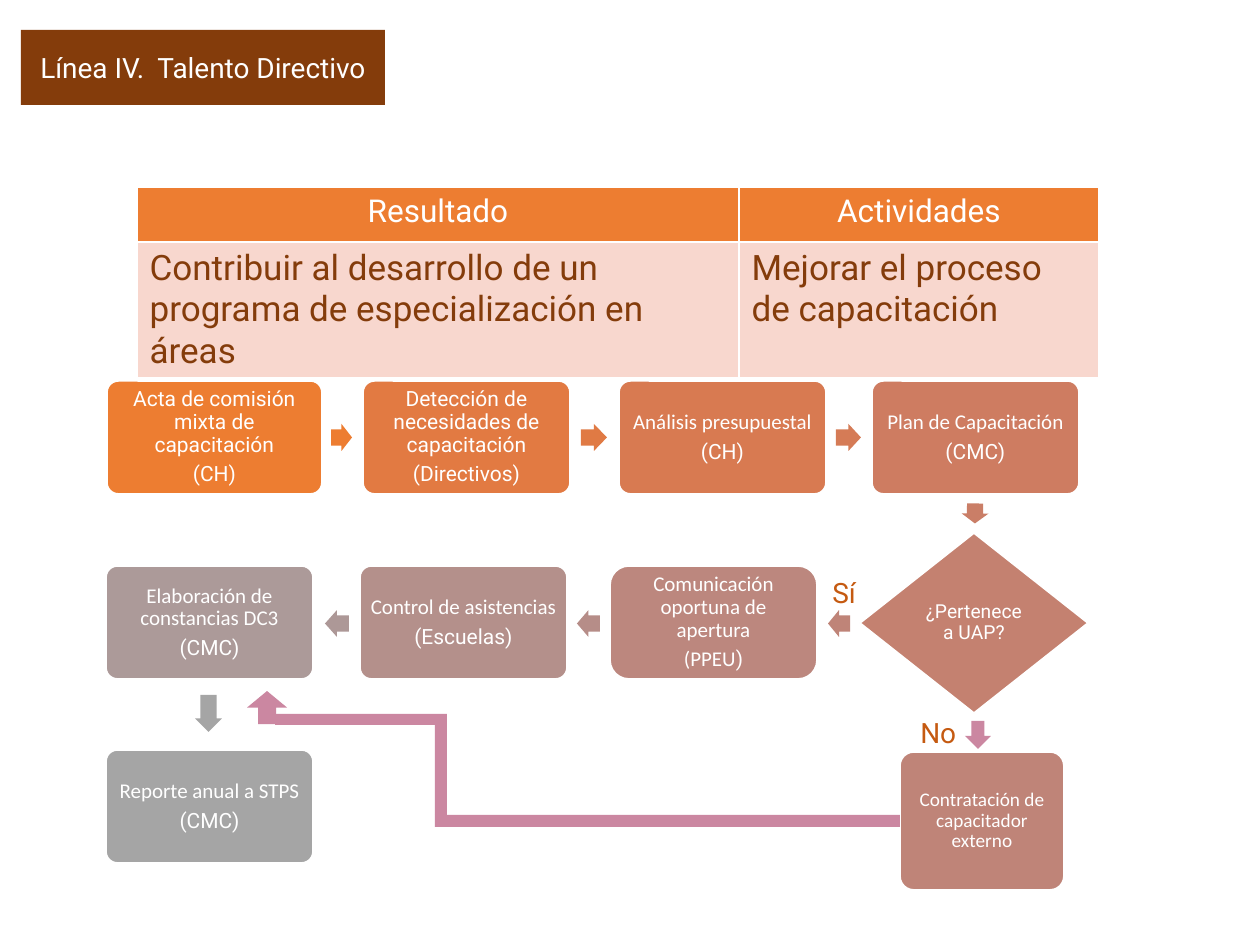
from lxml.etree import SubElement
from pptx import Presentation
from pptx.dml.color import RGBColor
from pptx.enum.shapes import MSO_SHAPE as Shape
from pptx.enum.text import MSO_ANCHOR as Anchor, PP_ALIGN as Align
from pptx.oxml.ns import qn
from pptx.util import Emu, Pt

PX = 914400 / 126
COLORS = {
    "white": "FFFFFF", "brown": "843C0B", "orange": "ED7D31", "blush": "F8D7CE",
    "rust": "C55A11", "pink": "CB87A1", "gray": "A5A5A5", "clay": "BF8478",
    "detect": "E27A42", "budget": "D87A51", "plan": "CE7C61", "choice": "C48170",
    "notice": "BC877E", "attend": "B4908B", "record": "AC9A99",
    "to_budget": "E07A44", "to_plan": "D57B56", "to_choice": "CA7E67",
    "to_attend": "B68D88", "to_record": "AD9897",
}
ROBOTO, CALIBRI = "Roboto", "Calibri"
ROUND, ARROW, DOWN = Shape.ROUNDED_RECTANGLE, Shape.RIGHT_ARROW, Shape.DOWN_ARROW
STEP_HEIGHT = 113
TOP, MIDDLE, BOTTOM = 381, 566, 750

TITLE = ("Línea IV.  Talento Directivo", (21, 30, 364, 75))
TABLE_AT = (137, 187)
COLUMNS = (602, 360)
ROWS = (55, 113)
CELLS = [
    ("Resultado", "Actividades"),
    ("Contribuir al desarrollo de un programa de especialización en áreas",
     "Mejorar el proceso de capacitación"),
]
ROW_STYLES = [("orange", "white", 18, Align.CENTER), ("blush", "brown", 20, Align.LEFT)]

STEPS = [
    (107, TOP, 215, ROUND, "orange", [[("Acta de comisión mixta de capacitación", ROBOTO)], [("(CH)", ROBOTO)]]),
    (363, TOP, 207, ROUND, "detect", [[("Detección de necesidades de capacitación", ROBOTO)], [("(Directivos)", ROBOTO)]]),
    (619, TOP, 207, ROUND, "budget", [[("Análisis presupuestal", CALIBRI)], [("(CH)", ROBOTO)]]),
    (872, TOP, 207, ROUND, "plan", [[("Plan de Capacitación", CALIBRI)], [("(CMC)", ROBOTO)]]),
    (610, MIDDLE, 207, Shape.FLOWCHART_ALTERNATE_PROCESS, "notice",
     [[("Comunicación oportuna de apertura", CALIBRI)], [("(PPEU", CALIBRI), (")", ROBOTO)]]),
    (360, MIDDLE, 207, ROUND, "attend", [[("Control de asistencias", CALIBRI)], [("(Escuelas)", ROBOTO)]]),
    (106, MIDDLE, 207, ROUND, "record", [[("Elaboración de constancias DC3", CALIBRI)], [("(CMC)", ROBOTO)]]),
    (106, BOTTOM, 207, ROUND, "gray", [[("Reporte anual a STPS", CALIBRI)], [("(CMC)", ROBOTO)]]),
]
DECISION = ((860, 533, 228, 180), [[("¿Pertenece a UAP?", ROBOTO)]])
HIRING = ((900, 752, 164, 138), [[("Contratación de capacitador externo", CALIBRI)]])
FLOW_ARROWS = [
    ((331, 424, 21, 27), 0, "orange"),
    ((581, 424, 26, 27), 0, "to_budget"),
    ((836, 424, 25, 27), 0, "to_plan"),
    ((965, 500, 20, 27), 90.7, "to_choice"),
    ((828, 610, 22, 27), 180, "clay"),
    ((577, 610, 23, 27), 180, "to_attend"),
    ((325, 610, 24, 27), 180, "to_record"),
    ((190, 700, 37, 27), 90, "gray"),
]
ANSWERS = [("Sí", (820, 567, 52, 41)), ("No", (908, 707, 61, 41))]
RETURN_PATH = [(435, 815, 465, 12), (435, 722, 12, 93), (275, 714, 172, 11)]


def px(value):
    return Emu(round(value * PX))


def color(name):
    return RGBColor.from_string(COLORS[name])


def add_span(para, text, font, size, ink):
    span = para.add_run()
    span.text = text
    span.font.name = font
    span.font.size = Pt(size)
    span.font.bold = False
    span.font.color.rgb = color(ink)


def add_figure(slide, kind, place, fill, outlined=False, turn=0, adjust=()):
    figure = slide.shapes.add_shape(kind, *map(px, place))
    figure.shadow.inherit = False
    figure.fill.solid()
    figure.fill.fore_color.rgb = color(fill)
    if outlined:
        figure.line.color.rgb = color("white")
        figure.line.width = Pt(1)
    else:
        figure.line.fill.background()
    figure.rotation = turn
    for index, value in enumerate(adjust):
        figure.adjustments[index] = value
    return figure


def set_margins(frame, margin):
    frame.margin_left = frame.margin_right = px(margin)
    frame.margin_top = frame.margin_bottom = px(margin)


def add_step(slide, kind, place, fill, paragraphs, size=12):
    adjust = (0.1,) if kind == ROUND else ()
    frame = add_figure(slide, kind, place, fill, True, adjust=adjust).text_frame
    frame.word_wrap = True
    frame.vertical_anchor = Anchor.MIDDLE
    set_margins(frame, 6)
    for index, spans in enumerate(paragraphs):
        para = frame.add_paragraph() if index else frame.paragraphs[0]
        para.alignment = Align.CENTER
        para.line_spacing = 0.9
        if index:
            para.space_before = Pt(4)
        for text, font in spans:
            add_span(para, text, font, size, "white")


def add_title(slide):
    text, place = TITLE
    frame = add_figure(slide, Shape.RECTANGLE, place, "brown").text_frame
    frame.word_wrap = True
    frame.vertical_anchor = Anchor.MIDDLE
    frame.paragraphs[0].alignment = Align.CENTER
    add_span(frame.paragraphs[0], text, ROBOTO, 16, "white")


def add_borders(cell):
    properties = cell._tc.get_or_add_tcPr()
    for side in ("lnL", "lnR", "lnT", "lnB"):
        line = SubElement(properties, qn(f"a:{side}"), w=str(Pt(1)))
        fill = SubElement(line, qn("a:solidFill"))
        SubElement(fill, qn("a:srgbClr"), val=COLORS["white"])


def add_results(slide):
    size = (sum(COLUMNS), sum(ROWS))
    table = slide.shapes.add_table(len(ROWS), len(COLUMNS), *map(px, TABLE_AT + size)).table
    table.first_row = table.horz_banding = False
    for column, width in zip(table.columns, COLUMNS):
        column.width = px(width)
    for row, height, texts, (fill, ink, points, align) in zip(table.rows, ROWS, CELLS, ROW_STYLES):
        row.height = px(height)
        for cell, text in zip(row.cells, texts):
            add_borders(cell)
            cell.fill.solid()
            cell.fill.fore_color.rgb = color(fill)
            para = cell.text_frame.paragraphs[0]
            para.alignment = align
            add_span(para, text, ROBOTO, points, ink)


def add_answer(slide, text, place):
    frame = slide.shapes.add_textbox(*map(px, place)).text_frame
    frame.word_wrap = True
    para = frame.paragraphs[0]
    para.line_spacing = 1.07
    add_span(para, text, ROBOTO, 16, "rust")


def main():
    deck = Presentation()
    deck.slide_width, deck.slide_height = px(1260), px(945)
    slide = deck.slides.add_slide(deck.slide_layouts[6])
    add_title(slide)
    add_results(slide)
    add_step(slide, ROUND, HIRING[0], "clay", HIRING[1], 11)
    add_figure(slide, DOWN, (965, 721, 26, 28), "pink")
    for left, top, width, kind, fill, paragraphs in STEPS:
        add_step(slide, kind, (left, top, width, STEP_HEIGHT), fill, paragraphs)
    add_step(slide, Shape.FLOWCHART_DECISION, DECISION[0], "choice", DECISION[1], 11)
    for place, turn, fill in FLOW_ARROWS:
        add_figure(slide, ARROW, place, fill, turn=turn, adjust=(0.6, 0.5))
    for text, place in ANSWERS:
        add_answer(slide, text, place)
    for place in RETURN_PATH:
        add_figure(slide, Shape.RECTANGLE, place, "pink")
    add_figure(slide, DOWN, (247, 691, 40, 33), "pink", turn=180, adjust=(0.45, 0.5))
    deck.save("out.pptx")


if __name__ == "__main__":
    main()
